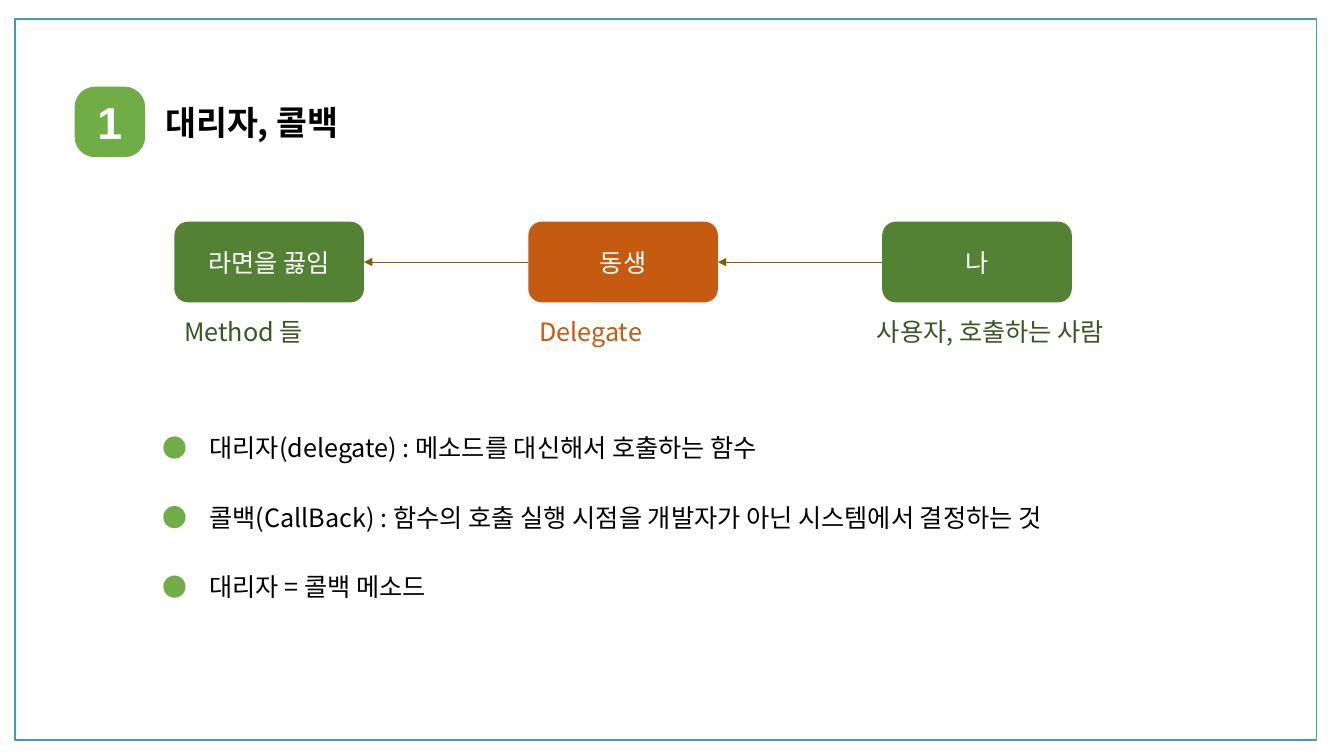
from dataclasses import dataclass

from lxml import etree
from pptx import Presentation
from pptx.dml.color import RGBColor
from pptx.enum.shapes import MSO_CONNECTOR, MSO_SHAPE
from pptx.enum.text import MSO_ANCHOR, PP_ALIGN
from pptx.oxml.ns import qn
from pptx.util import Inches, Pt

RECTANGLE = MSO_SHAPE.RECTANGLE
ROUNDED = MSO_SHAPE.ROUNDED_RECTANGLE
OVAL = MSO_SHAPE.OVAL
STRAIGHT = MSO_CONNECTOR.STRAIGHT
LEFT, CENTER = PP_ALIGN.LEFT, PP_ALIGN.CENTER
TOP, MIDDLE = MSO_ANCHOR.TOP, MSO_ANCHOR.MIDDLE


@dataclass(frozen=True)
class Theme:
    font: str = "Noto Sans CJK KR"
    number_font: str = "Arial"
    black: str = "000000"
    white: str = "FFFFFF"
    accent: str = "70AD47"
    green: str = "548235"
    dark_green: str = "385723"
    orange: str = "C55A11"
    arrow: str = "806000"
    frame: str = "3D9FAC"
    body_size: int = 18
    title_size: int = 24
    number_size: int = 32


class SlideBuilder:
    def __init__(self, slide, theme):
        self.shapes = slide.shapes
        self.theme = theme

    def label(self, shape, text, color, size=None, bold=False, font=None,
              align=LEFT, anchor=TOP):
        frame = shape.text_frame
        frame.word_wrap = True
        frame.vertical_anchor = anchor
        paragraph = frame.paragraphs[0]
        paragraph.alignment = align
        run = paragraph.add_run()
        run.text = text
        run.font.color.rgb = RGBColor.from_string(color)
        font = font or self.theme.font
        values = {"name": font, "size": Pt(size or self.theme.body_size), "bold": bold}
        for name, value in values.items():
            setattr(run.font, name, value)
        etree.SubElement(run.font._element, qn("a:ea"), typeface=font)

    def text(self, left, top, width, height, text, color, **style):
        box = self.shapes.add_textbox(*map(Inches, (left, top, width, height)))
        self.label(box, text, color, **style)

    def shape(self, kind, left, top, width, height, fill=None, line=None):
        shape = self.shapes.add_shape(kind, *map(Inches, (left, top, width, height)))
        shape.shadow.inherit = False
        if fill:
            shape.fill.solid()
            shape.fill.fore_color.rgb = RGBColor.from_string(fill)
        else:
            shape.fill.background()
        if line:
            shape.line.color.rgb = RGBColor.from_string(line)
            shape.line.width = Pt(1)
        else:
            shape.line.fill.background()
        return shape

    def arrow(self, start, end, y):
        arrow = self.shapes.add_connector(STRAIGHT, *map(Inches, (start, y, end, y)))
        arrow.line.color.rgb = RGBColor.from_string(self.theme.arrow)
        arrow.line.width = Pt(0.5)
        properties = arrow._element.spPr
        etree.SubElement(properties.find(qn("a:ln")), qn("a:tailEnd"), type="triangle")
        etree.SubElement(properties, qn("a:effectLst"))


theme = Theme()
presentation = Presentation()
presentation.slide_width = Inches(13.33)
presentation.slide_height = Inches(7.5)
slide = presentation.slides.add_slide(presentation.slide_layouts[6])
builder = SlideBuilder(slide, theme)

# Frame and heading
builder.shape(RECTANGLE, 0.15, 0.19, 12.91, 7.15, line=theme.frame)
badge = builder.shape(ROUNDED, 0.74, 0.86, 0.7, 0.7, fill=theme.accent)
badge.adjustments[0] = 0.29
builder.label(badge, "1", theme.white, size=theme.number_size, bold=True,
              font=theme.number_font, align=CENTER, anchor=MIDDLE)
builder.text(1.54, 0.96, 6.06, 0.5, "대리자, 콜백", theme.black,
             size=theme.title_size, bold=True)

# Call chain: each step points back to the one before it
STEP_LEFT, STEP_TOP, STEP_PITCH = 1.73, 2.2, 3.51
STEP_WIDTH, STEP_HEIGHT = 1.88, 0.8
steps = [
    ("라면을 끓임", theme.green, "Method 들", theme.dark_green, 1.73, 1.85),
    ("동생", theme.orange, "Delegate", theme.orange, 5.25, 1.85),
    ("나", theme.green, "사용자, 호출하는 사람", theme.dark_green, 8.6, 2.96),
]
for index, (name, fill, caption, color, caption_left, caption_width) in enumerate(steps):
    left = STEP_LEFT + index * STEP_PITCH
    box = builder.shape(ROUNDED, left, STEP_TOP, STEP_WIDTH, STEP_HEIGHT, fill=fill)
    builder.label(box, name, theme.white, align=CENTER, anchor=MIDDLE)
    builder.text(caption_left, 3.09, caption_width, 0.4, caption, color)
    if index:
        builder.arrow(left, left - STEP_PITCH + STEP_WIDTH, STEP_TOP + STEP_HEIGHT / 2)

# Definitions with round markers
DEFINITION_TOP, DEFINITION_PITCH = 4.24, 0.69
definitions = [
    "대리자(delegate) : 메소드를 대신해서 호출하는 함수",
    "콜백(CallBack) : 함수의 호출 실행 시점을 개발자가 아닌 시스템에서 결정하는 것",
    "대리자 = 콜백 메소드",
]
for index, definition in enumerate(definitions):
    top = DEFINITION_TOP + index * DEFINITION_PITCH
    builder.shape(OVAL, 1.62, top + 0.09, 0.22, 0.22, fill=theme.accent)
    builder.text(1.98, top, 10.28, 0.4, definition, theme.black)

presentation.save("out.pptx")
